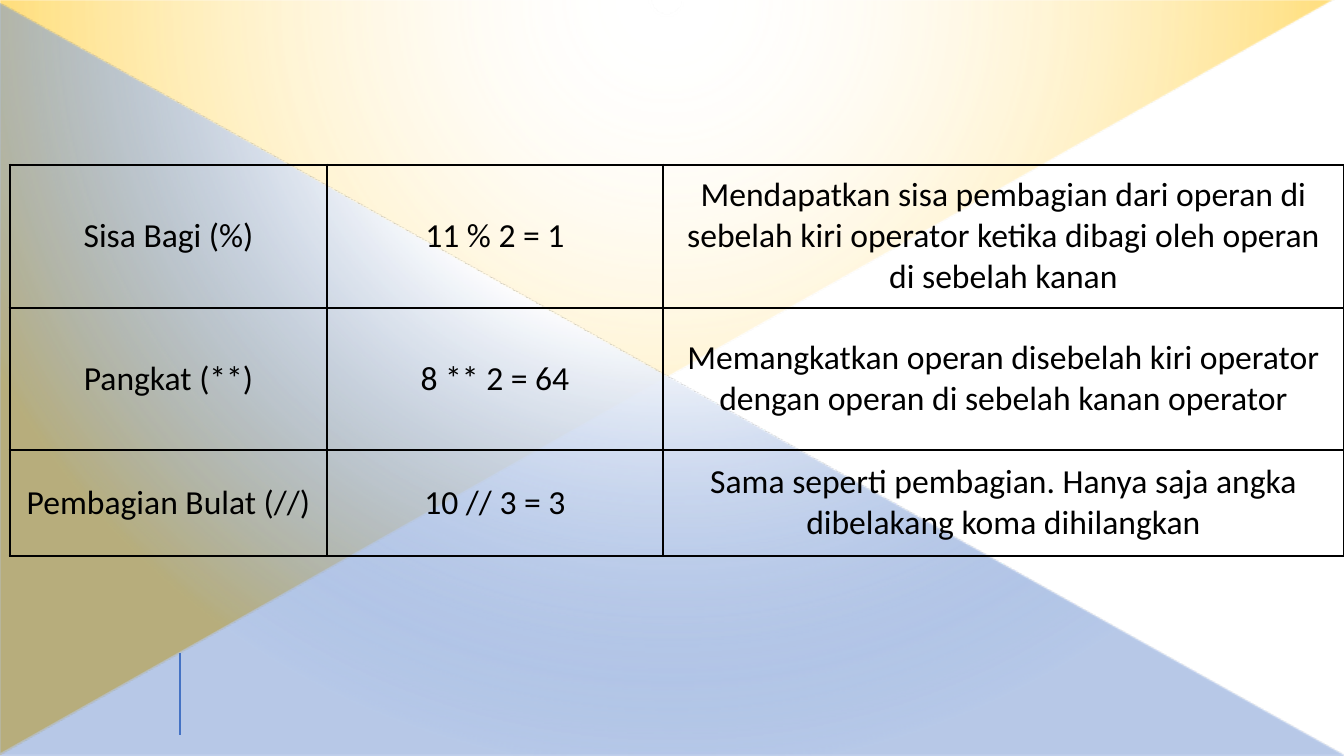
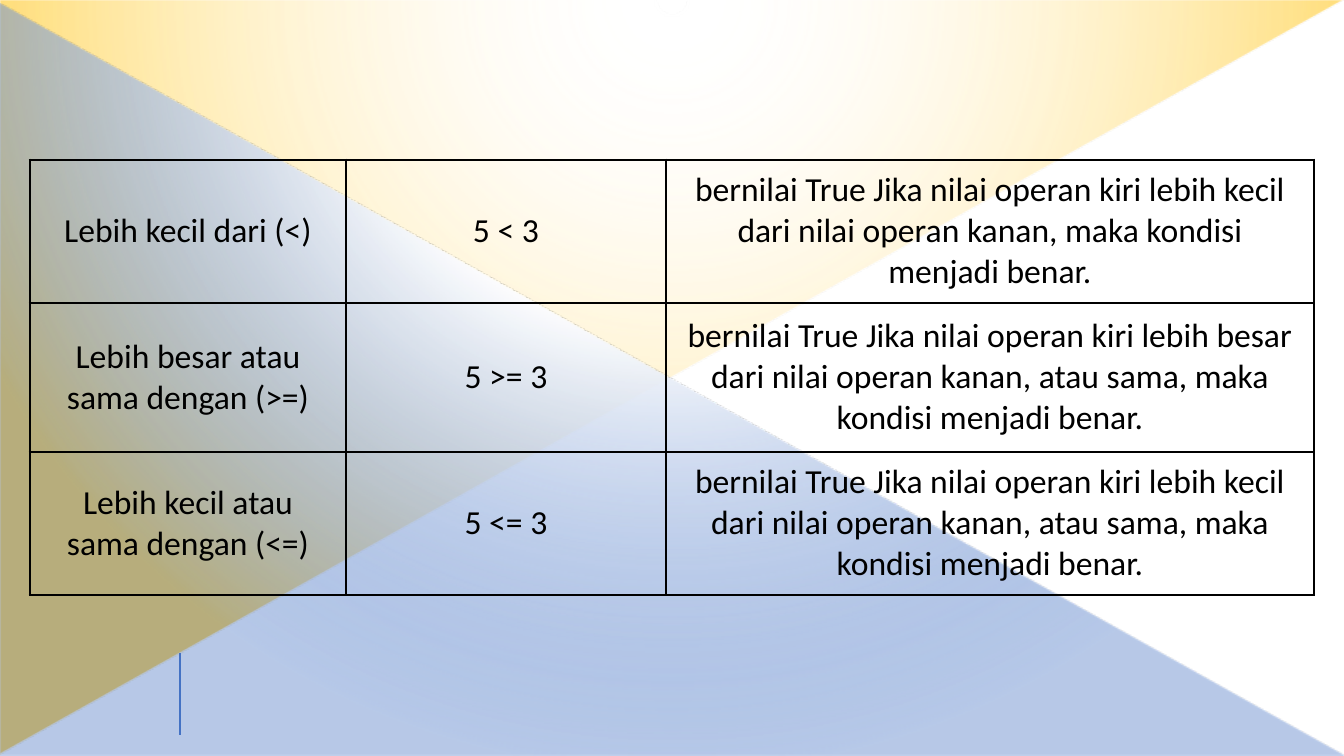
"""Build two slides of operator tables over crossed gradient triangles."""
import dataclasses

import lxml.etree
import pptx
import pptx.dml.color
import pptx.enum.shapes
import pptx.enum.text
import pptx.oxml.ns
import pptx.util

PX = 914400 / 100.8
PAGE_SIZE = (1344, 756)


@dataclasses.dataclass(frozen=True)
class Theme:
    font: str = "Calibri"
    text_size: int = 24
    ink: str = "000000"
    paper: str = "FFFFFF"
    gold: str = "FFC000"
    blue: str = "4472C4"
    border: float = 2.25
    accent_line: float = 1.5
    edge_line: float = 1
    edge_alpha: int = 42
    cell_margin: tuple = (16, 10)


THEME = Theme()
GOLD_STOPS = [(0, THEME.paper, 90), (2, THEME.paper, 0), (100, THEME.gold, 68)]
BLUE_STOPS = [(0, THEME.paper, 100), (42, THEME.paper, 100), (100, THEME.blue, 38)]
GRADIENT_FOCUS = {"l": 50, "t": -80, "r": 50, "b": 180}
BLUE_BOX = (0, 4, 1344, 752)
ACCENT_LINE = (180, 653, 180, 735)

PAGES = [
    {
        "gold_box": (0, 0, 1335, 754),
        "origin": (10, 165),
        "columns": (317, 336, 681),
        "rows": (142, 142, 106),
        "cells": [
            ("Sisa Bagi (%)", "11 % 2 = 1",
             "Mendapatkan sisa pembagian dari operan di sebelah kiri operator "
             "ketika dibagi oleh operan di sebelah kanan"),
            ("Pangkat (**)", "8 ** 2 = 64",
             "Memangkatkan operan disebelah kiri operator dengan operan "
             "di sebelah kanan operator"),
            ("Pembagian Bulat (//)", "10 // 3 = 3",
             "Sama seperti pembagian. Hanya saja angka dibelakang koma dihilangkan"),
        ],
    },
    {
        "gold_box": (0, 0, 1344, 754),
        "origin": (30, 160),
        "columns": (316, 320, 648),
        "rows": (130, 149, 133),
        "cells": [
            ("Lebih kecil dari (<)", "5 < 3",
             "bernilai True Jika nilai operan kiri lebih kecil dari nilai "
             "operan kanan, maka kondisi menjadi benar."),
            ("Lebih besar atau sama dengan (>=)", "5 >= 3",
             "bernilai True Jika nilai operan kiri lebih besar dari nilai "
             "operan kanan, atau sama, maka kondisi menjadi benar."),
            ("Lebih kecil atau sama dengan (<=)", "5 <= 3",
             "bernilai True Jika nilai operan kiri lebih kecil dari nilai "
             "operan kanan, atau sama, maka kondisi menjadi benar."),
        ],
    },
]


def px(length):
    return round(length * PX)


def rgb(color):
    return pptx.dml.color.RGBColor.from_string(color)


def add_node(parent, tag, **attributes):
    node = lxml.etree.SubElement(parent, pptx.oxml.ns.qn(tag))
    for name, value in attributes.items():
        node.set(name, str(value))
    return node


def add_color(parent, color, alpha=100):
    node = add_node(parent, "a:srgbClr", val=color)
    if alpha < 100:
        add_node(node, "a:alpha", val=alpha * 1000)


def add_triangle(page, box, stops):
    triangle = page.shapes.add_shape(
        pptx.enum.shapes.MSO_SHAPE.ISOSCELES_TRIANGLE, *map(px, box))
    triangle.adjustments[0] = 0
    triangle.shadow.inherit = False
    triangle.line.fill.background()
    triangle.fill.gradient()
    gradient = triangle._element.spPr.find(pptx.oxml.ns.qn("a:gradFill"))
    for child in list(gradient):
        gradient.remove(child)
    stop_list = add_node(gradient, "a:gsLst")
    for position, color, alpha in stops:
        add_color(add_node(stop_list, "a:gs", pos=position * 1000), color, alpha)
    circle = add_node(gradient, "a:path", path="circle")
    focus = {side: percent * 1000 for side, percent in GRADIENT_FOCUS.items()}
    add_node(circle, "a:fillToRect", **focus)
    return triangle


def add_backdrop(page, gold_box):
    gold = add_triangle(page, gold_box, GOLD_STOPS)
    gold.rotation = 180
    gold._element.spPr.find(pptx.oxml.ns.qn("a:xfrm")).set("flipH", "1")
    gold.line.color.rgb = rgb(THEME.paper)
    gold.line.width = pptx.util.Pt(THEME.edge_line)
    edge_color = next(gold.line._ln.iter(pptx.oxml.ns.qn("a:srgbClr")))
    add_node(edge_color, "a:alpha", val=THEME.edge_alpha * 1000)
    add_triangle(page, BLUE_BOX, BLUE_STOPS)
    accent = page.shapes.add_connector(
        pptx.enum.shapes.MSO_CONNECTOR.STRAIGHT, *map(px, ACCENT_LINE))
    accent.line.color.rgb = rgb(THEME.blue)
    accent.line.width = pptx.util.Pt(THEME.accent_line)
    add_node(accent._element.spPr, "a:effectLst")


def fill_cell(cell, text):
    side, end = map(px, THEME.cell_margin)
    cell.margin_left = cell.margin_right = side
    cell.margin_top = cell.margin_bottom = end
    cell.vertical_anchor = pptx.enum.text.MSO_ANCHOR.MIDDLE
    para = cell.text_frame.paragraphs[0]
    para.alignment = pptx.enum.text.PP_ALIGN.CENTER
    span = para.add_run()
    span.text = text
    span.font.name = THEME.font
    span.font.size = pptx.util.Pt(THEME.text_size)
    span.font.color.rgb = rgb(THEME.ink)
    properties = cell._tc.get_or_add_tcPr()
    for tag in ("a:lnL", "a:lnR", "a:lnT", "a:lnB"):
        border = add_node(properties, tag, w=pptx.util.Pt(THEME.border))
        add_color(add_node(border, "a:solidFill"), THEME.ink)
    cell.fill.background()


def add_operator_table(page, origin, columns, rows, cells):
    frame = page.shapes.add_table(
        len(rows), len(columns), *map(px, (*origin, sum(columns), sum(rows))))
    table = frame.table
    table.first_row = table.horz_banding = False
    for column, width in zip(table.columns, columns):
        column.width = px(width)
    for row, height, texts in zip(table.rows, rows, cells):
        row.height = px(height)
        for cell, text in zip(row.cells, texts):
            fill_cell(cell, text)


def main():
    deck = pptx.Presentation()
    deck.slide_width, deck.slide_height = map(px, PAGE_SIZE)
    blank_layout = deck.slide_layouts[6]
    for content in PAGES:
        page = deck.slides.add_slide(blank_layout)
        add_backdrop(page, content["gold_box"])
        add_operator_table(page, content["origin"], content["columns"],
                           content["rows"], content["cells"])
    deck.save("out.pptx")


if __name__ == "__main__":
    main()
